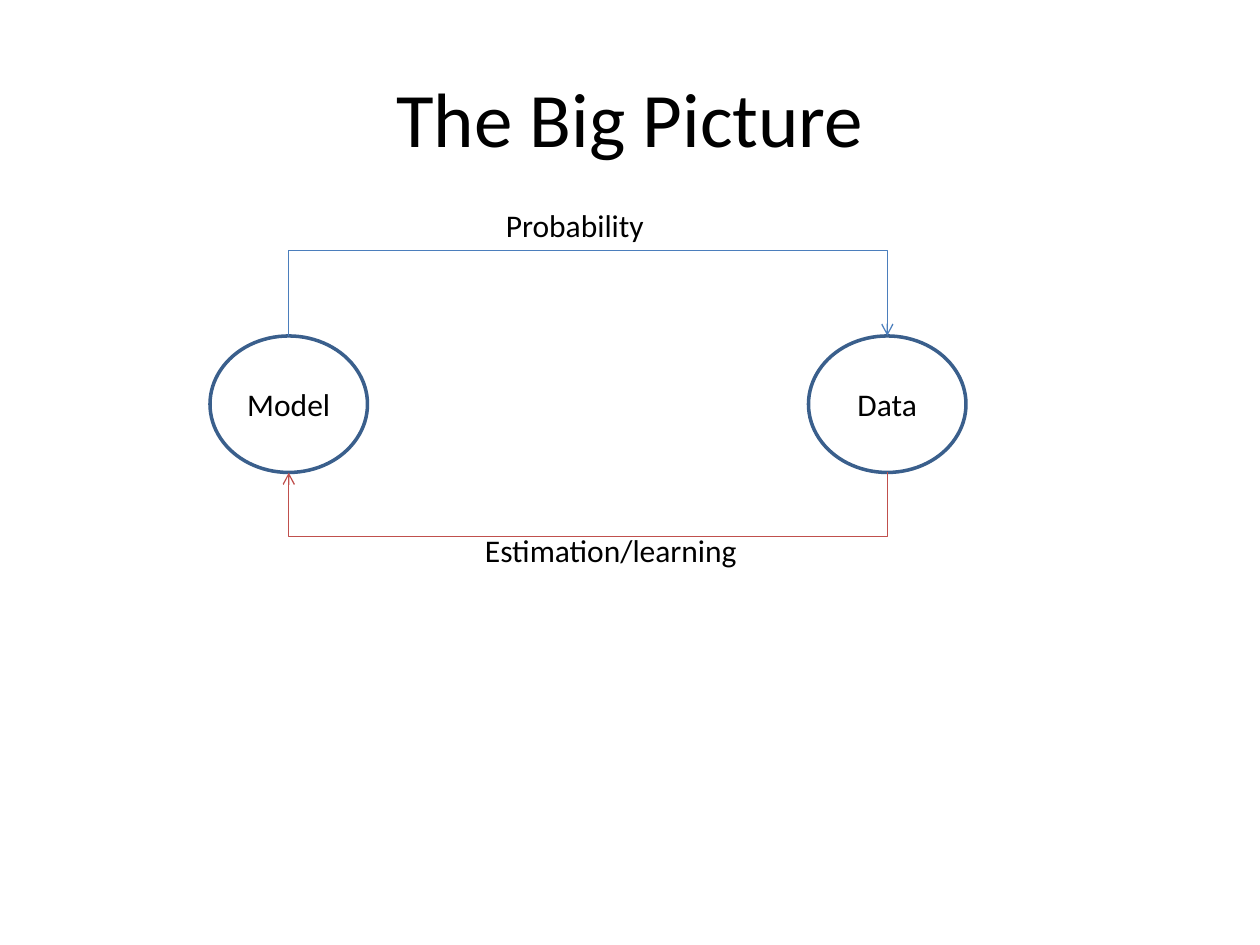
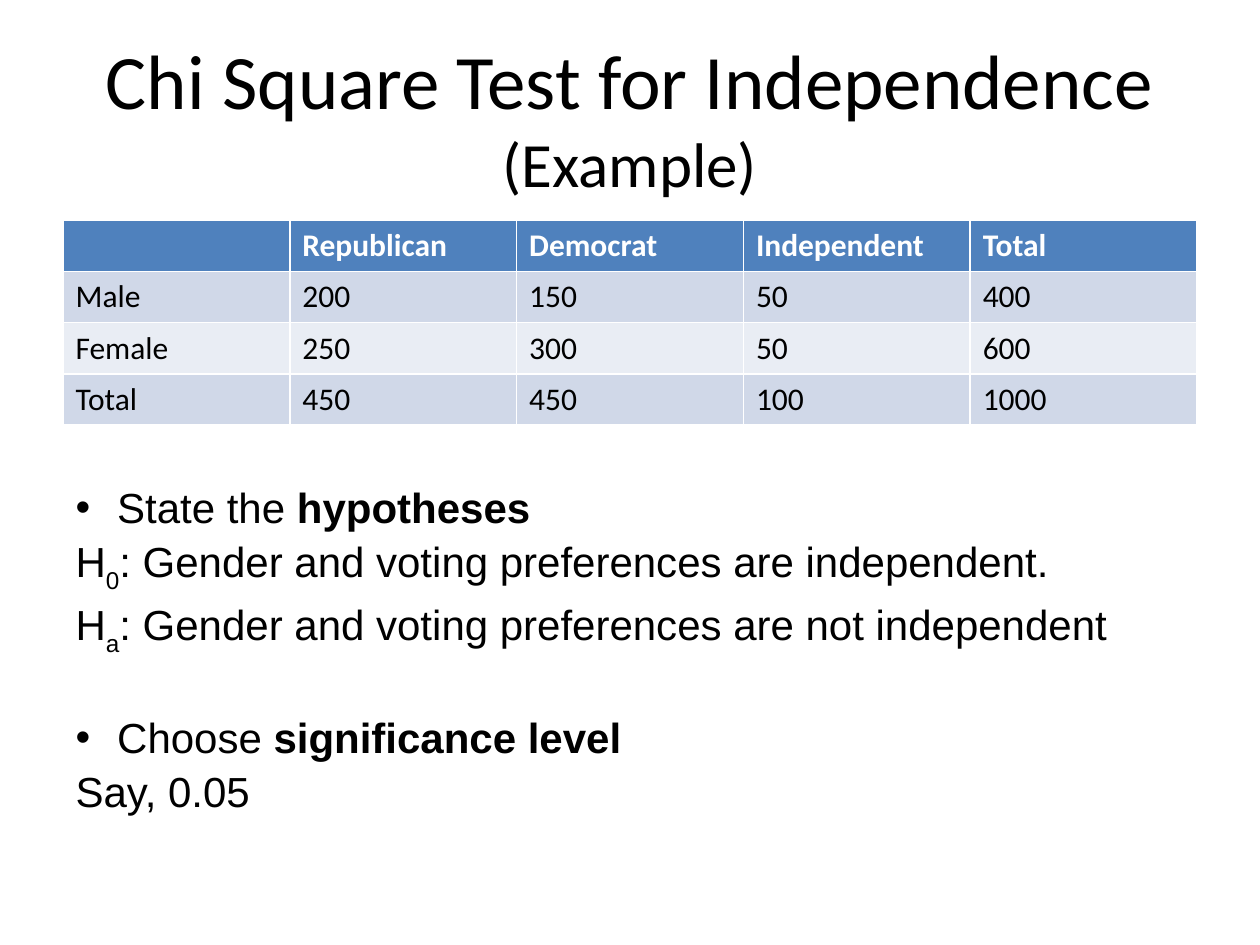
from dataclasses import dataclass
from typing import Optional

from lxml.etree import SubElement
from pptx import Presentation
from pptx.dml.color import RGBColor
from pptx.enum.shapes import MSO_CONNECTOR, MSO_SHAPE
from pptx.enum.text import MSO_ANCHOR, MSO_AUTO_SIZE, PP_ALIGN
from pptx.oxml.ns import qn
from pptx.util import Emu, Inches, Pt

BLACK = RGBColor(0x00, 0x00, 0x00)
WHITE = RGBColor(0xFF, 0xFF, 0xFF)
OUTLINE_BLUE = RGBColor(0x3A, 0x5F, 0x8C)
ARROW_BLUE = RGBColor(0x4B, 0x7E, 0xBC)
ARROW_RED = RGBColor(0xC0, 0x50, 0x4D)
HEADER_BLUE = RGBColor(0x4F, 0x81, 0xBD)
BAND_DARK = RGBColor(0xD0, 0xD8, 0xE8)
BAND_LIGHT = RGBColor(0xE9, 0xED, 0xF4)

HEADING_FONT = "Calibri"
LIST_FONT = "Arial"
SLIDE_WIDTH, SLIDE_HEIGHT = Inches(10), Inches(7.5)
GRID_COLUMNS = 120
CELL = SLIDE_WIDTH / GRID_COLUMNS
CONNECTOR_THICKNESS = Pt(0.25)
LIST_SIZE = 24


@dataclass(frozen=True)
class Box:
    """A rectangle in grid columns and rows."""
    column: float
    row: float
    columns: float
    rows: float

    def lengths(self) -> tuple:
        """Return left, top, width and height as lengths."""
        return tuple(grid(n) for n in (self.column, self.row, self.columns, self.rows))


@dataclass(frozen=True)
class Piece:
    """A stretch of text with one format."""
    text: str
    size: float = LIST_SIZE
    bold: bool = False
    subscript: bool = False


@dataclass(frozen=True)
class ListLine:
    """One line of the body list."""
    pieces: tuple
    bullet: bool = False
    space_before: float = 0


@dataclass(frozen=True)
class Node:
    """A labelled ellipse of the diagram."""
    text: str
    box: Box


@dataclass(frozen=True)
class Loop:
    """A bent arrow between two columns, with its label."""
    start: float
    end: float
    row: float
    depth: float
    color: RGBColor
    label: str
    label_box: Box


TITLE_BOX = Box(6, 3.6, 108, 15)
TABLE_BOX = Box(6, 21, 108, 19.44)
BODY_BOX = Box(6, 46.5, 103, 30.25)
NODES = (
    Node("Model", Box(20, 32, 15, 13)),
    Node("Data", Box(77, 32, 15, 13)),
)
MODEL_CENTER, DATA_CENTER = (node.box.column + node.box.columns / 2 for node in NODES)
LOOPS = (
    Loop(MODEL_CENTER, DATA_CENTER, 32, 8, ARROW_BLUE,
         "Probability", Box(47, 19, 15.7, 4.8)),
    Loop(DATA_CENTER, MODEL_CENTER, 45, 6, ARROW_RED,
         "Estimation/learning", Box(45, 50, 26.8, 4.8)),
)
VOTES = (
    ("", "Republican", "Democrat", "Independent", "Total"),
    ("Male", "200", "150", "50", "400"),
    ("Female", "250", "300", "50", "600"),
    ("Total", "450", "450", "100", "1000"),
)
TEST_STEPS = (
    ListLine((Piece("State the "), Piece("hypotheses", bold=True)), bullet=True),
    ListLine((Piece("H"), Piece("0", subscript=True),
              Piece(": Gender and voting preferences are independent."))),
    ListLine((Piece("H"), Piece("a", subscript=True),
              Piece(": Gender and voting preferences are not independent"))),
    ListLine((Piece("Choose"), Piece(" significance level", bold=True)),
             bullet=True, space_before=29.2),
    ListLine((Piece("Say, 0.05"),)),
)


def grid(count: float) -> Emu:
    """Turn a number of grid cells into a length."""
    return Emu(round(count * CELL))


def place(shape, box: Box) -> None:
    """Move a shape to a box of the grid."""
    shape.left, shape.top, shape.width, shape.height = box.lengths()


def write(paragraph, text: str, *, size: float = 18, font: str = HEADING_FONT,
          color: RGBColor = BLACK, bold: bool = False, subscript: bool = False,
          align: Optional[PP_ALIGN] = None) -> None:
    """Add formatted text to a paragraph."""
    run = paragraph.add_run()
    run.text = text
    run.font.size = Pt(size)
    run.font.name = font
    run.font.bold = bold
    run.font.color.rgb = color
    if subscript:
        run.font._element.set("baseline", "-30000")
    if align is not None:
        paragraph.alignment = align


def add_titled_slide(presentation, layout_index: int, *lines: Piece):
    """Add a slide and fill its title, one piece to a line."""
    slide = presentation.slides.add_slide(presentation.slide_layouts[layout_index])
    title = slide.shapes.title
    place(title, TITLE_BOX)
    frame = title.text_frame
    frame.auto_size = MSO_AUTO_SIZE.NONE
    frame.vertical_anchor = MSO_ANCHOR.MIDDLE
    paragraph = frame.paragraphs[0]
    for index, line in enumerate(lines):
        if index:
            paragraph.add_line_break()
        write(paragraph, line.text, size=line.size, align=PP_ALIGN.CENTER)
    return slide


def add_node(slide, node: Node) -> None:
    """Draw an outlined ellipse with centred text."""
    shape = slide.shapes.add_shape(MSO_SHAPE.OVAL, *node.box.lengths())
    shape.shadow.inherit = False
    shape.fill.background()
    shape.line.color.rgb = OUTLINE_BLUE
    shape.line.width = Pt(2)
    shape.text_frame.vertical_anchor = MSO_ANCHOR.MIDDLE
    write(shape.text_frame.paragraphs[0], node.text, align=PP_ALIGN.CENTER)


def add_loop(slide, loop: Loop) -> None:
    """Draw a bent arrow as a quarter-turned elbow connector, and its label."""
    center_x, center_y = grid((loop.start + loop.end) / 2), grid(loop.row)
    half_span = grid((loop.end - loop.start) / 2)
    half_thickness = CONNECTOR_THICKNESS // 2
    if half_span < 0:
        half_thickness = -half_thickness
    connector = slide.shapes.add_connector(
        MSO_CONNECTOR.ELBOW,
        Emu(center_x + half_thickness), Emu(center_y + half_span),
        Emu(center_x - half_thickness), Emu(center_y - half_span))
    connector.line.color.rgb = loop.color
    connector.line.width = Pt(0.75)
    properties = connector._element.spPr
    properties.find(qn("a:xfrm")).set("rot", "5400000")
    geometry = properties.find(qn("a:prstGeom"))
    adjustments = geometry.find(qn("a:avLst"))
    if adjustments is None:
        adjustments = SubElement(geometry, qn("a:avLst"))
    bend = round(grid(loop.depth) / CONNECTOR_THICKNESS * 100000)
    SubElement(adjustments, qn("a:gd"), name="adj1", fmla=f"val {bend}")
    SubElement(properties.find(qn("a:ln")), qn("a:tailEnd"), type="arrow")
    SubElement(properties, qn("a:effectLst"))

    label = slide.shapes.add_textbox(*loop.label_box.lengths())
    label.text_frame.word_wrap = False
    label.text_frame.auto_size = MSO_AUTO_SIZE.SHAPE_TO_FIT_TEXT
    write(label.text_frame.paragraphs[0], loop.label)


def add_votes_table(slide) -> None:
    """Draw the table of votes with a header and banded rows."""
    table = slide.shapes.add_table(len(VOTES), len(VOTES[0]), *TABLE_BOX.lengths()).table
    for row_index, row in enumerate(VOTES):
        is_header = row_index == 0
        band = BAND_DARK if row_index % 2 else BAND_LIGHT
        for column_index, text in enumerate(row):
            cell = table.cell(row_index, column_index)
            cell.fill.solid()
            cell.fill.fore_color.rgb = HEADER_BLUE if is_header else band
            if text:
                write(cell.text_frame.paragraphs[0], text, bold=is_header,
                      color=WHITE if is_header else BLACK)


def set_bullet(paragraph, has_bullet: bool) -> None:
    """Give a paragraph a hanging bullet, or none."""
    properties = paragraph._p.get_or_add_pPr()
    indent = Inches(0.33) if has_bullet else 0
    properties.set("marL", str(indent))
    properties.set("indent", str(-indent))
    if has_bullet:
        SubElement(properties, qn("a:buFont"), typeface=LIST_FONT)
        SubElement(properties, qn("a:buChar"), char="•")
    else:
        SubElement(properties, qn("a:buNone"))


def fill_body(slide) -> None:
    """Write the test steps in the body placeholder."""
    body = slide.placeholders[1]
    place(body, BODY_BOX)
    frame = body.text_frame
    frame.auto_size = MSO_AUTO_SIZE.NONE
    frame.vertical_anchor = MSO_ANCHOR.MIDDLE
    for index, line in enumerate(TEST_STEPS):
        paragraph = frame.add_paragraph() if index else frame.paragraphs[0]
        paragraph.line_spacing = 1.06
        paragraph.space_before = Pt(line.space_before)
        set_bullet(paragraph, line.bullet)
        for piece in line.pieces:
            write(paragraph, piece.text, size=piece.size, font=LIST_FONT,
                  bold=piece.bold, subscript=piece.subscript)


def main() -> None:
    """Build both slides and save them."""
    presentation = Presentation()
    presentation.slide_width, presentation.slide_height = SLIDE_WIDTH, SLIDE_HEIGHT

    picture_slide = add_titled_slide(presentation, 5, Piece("The Big Picture", 44))
    for node in NODES:
        add_node(picture_slide, node)
    for loop in LOOPS:
        add_loop(picture_slide, loop)

    test_slide = add_titled_slide(presentation, 1,
                                  Piece("Chi Square Test for Independence", 44),
                                  Piece("(Example)", 36))
    add_votes_table(test_slide)
    fill_body(test_slide)
    presentation.save("out.pptx")


if __name__ == "__main__":
    main()
